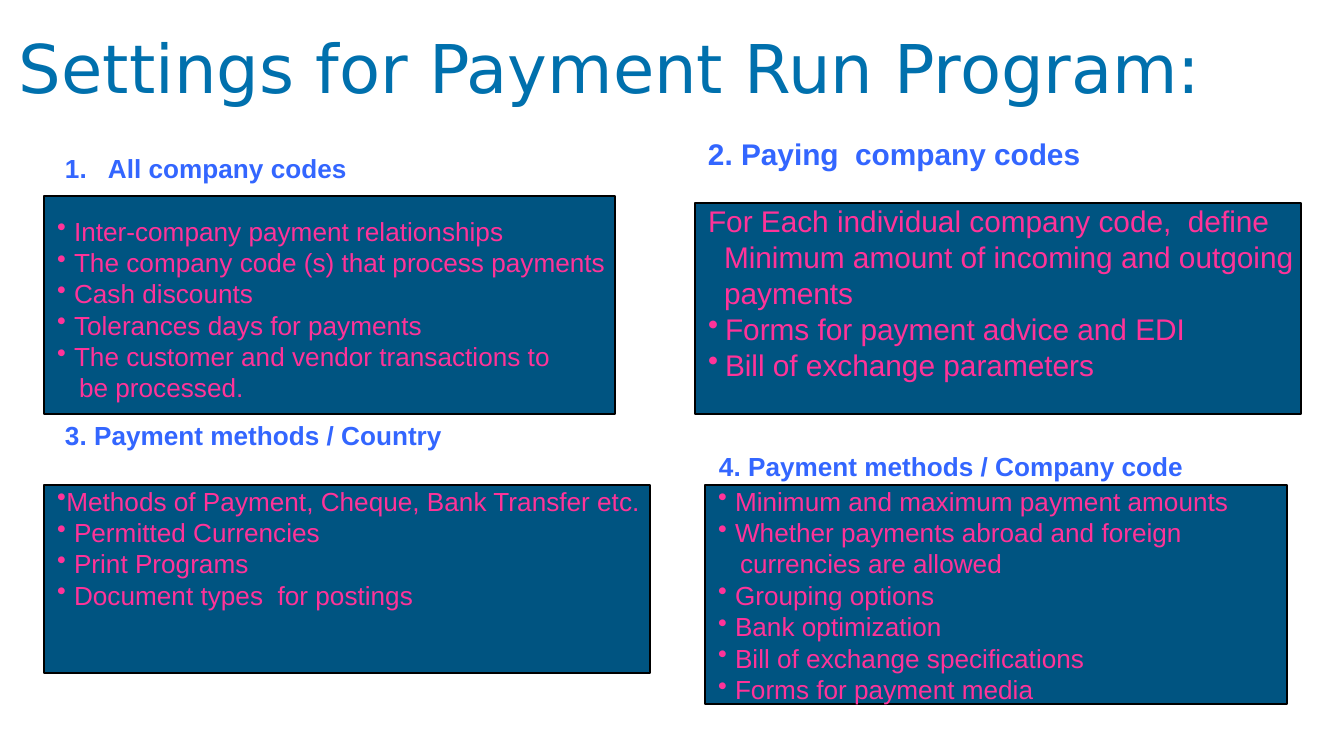
from lxml import etree
from pptx import Presentation
from pptx import util as u
from pptx.dml.color import RGBColor
from pptx.enum import shapes, text

SCALE = 914400 / 134.4
NS = "http://schemas.openxmlformats.org/drawingml/2006/main"
COLOR = {"title": "0070AD", "head": "3366FF", "list": "FF3399",
         "panel": "005481", "edge": "000000"}
# Kind of line: left indent in px, and whether it has a bullet
KIND = {"dot": (17, True), "tight": (9, True), "plain": (0, False),
        "inner": (16, False), "cont": (22, False)}
PANELS = [
    {"head": "1.\tAll company codes", "spot": (65, 152), "size": 14,
     "box": (44, 196, 571, 218), "top": 19, "rows": [
         ("dot", "Inter-company payment relationships"),
         ("dot", "The company code (s) that process payments"),
         ("dot", "Cash discounts"),
         ("dot", "Tolerances days for payments"),
         ("dot", "The customer and vendor transactions to"),
         ("cont", "be processed.")]},
    {"head": "2. Paying  company codes", "spot": (708, 136), "size": 16,
     "box": (695, 203, 606, 211), "top": 0, "rows": [
         ("plain", "For Each individual company code,  define"),
         ("inner", "Minimum amount of incoming and outgoing"),
         ("inner", "payments"),
         ("dot", "Forms for payment advice and EDI"),
         ("dot", "Bill of exchange parameters")]},
    {"head": "3. Payment methods / Country", "spot": (65, 419), "size": 14,
     "box": (44, 485, 606, 188), "top": 0, "rows": [
         ("tight", "Methods of Payment, Cheque, Bank Transfer etc."),
         ("dot", "Permitted Currencies"),
         ("dot", "Print Programs"),
         ("dot", "Document types  for postings")]},
    {"head": "4. Payment methods / Company code", "spot": (719, 450), "size": 14,
     "box": (705, 485, 582, 219), "top": 0, "rows": [
         ("dot", "Minimum and maximum payment amounts"),
         ("dot", "Whether payments abroad and foreign"),
         ("cont", "currencies are allowed"),
         ("dot", "Grouping options"),
         ("dot", "Bank optimization"),
         ("dot", "Bill of exchange specifications"),
         ("dot", "Forms for payment media")]},
]


def px(n):
    return u.Emu(round(n * SCALE))


def rgb(name):
    return RGBColor.from_string(COLOR[name])


def apply(item, values):
    for name, value in values.items():
        setattr(item, name, value)


def frame(shape, left=0, top=0, wrap=False, anchor=text.MSO_ANCHOR.TOP):
    """Set up the text frame of a shape and return it."""
    area = shape.text_frame
    apply(area, {"margin_left": px(left), "margin_top": px(top),
                 "margin_right": 0, "margin_bottom": 0, "word_wrap": wrap,
                 "auto_size": text.MSO_AUTO_SIZE.NONE,
                 "vertical_anchor": anchor})
    return area


def style(para, words, size, color, face="Arial", bold=False, space=None):
    """Fill a paragraph; space defaults to a fixed 1.2 of the size."""
    para.text = words
    apply(para, {"alignment": text.PP_ALIGN.LEFT,
                 "line_spacing": space or u.Pt(size * 1.2)})
    apply(para.font, {"size": u.Pt(size), "name": face, "bold": bold})
    para.font.color.rgb = rgb(color)


def indent(para, left, dot):
    props = para._p.get_or_add_pPr()
    props.set("marL", str(px(left)))
    props.set("indent", str(-px(left) if dot else 0))
    if dot:
        etree.SubElement(props, f"{{{NS}}}buChar", char="•")
    else:
        etree.SubElement(props, f"{{{NS}}}buNone")


def tab(para, at):
    tabs = etree.SubElement(para._p.get_or_add_pPr(), f"{{{NS}}}tabLst")
    etree.SubElement(tabs, f"{{{NS}}}tab", pos=str(px(at)), algn="l")


def title(slide, words):
    shape = slide.shapes.title
    apply(shape, {"left": 0, "top": px(34), "width": px(1284), "height": px(74)})
    area = frame(shape, left=19, anchor=text.MSO_ANCHOR.BOTTOM)
    style(area.paragraphs[0], words, 36, "title", "DejaVu Sans", space=0.9)


def heading(slide, panel):
    size = panel["size"]
    box = slide.shapes.add_textbox(*map(px, (*panel["spot"], 520, size * 2 + 4)))
    para = frame(box).paragraphs[0]
    if "\t" in panel["head"]:
        tab(para, 43)
    style(para, panel["head"], size, "head", bold=True)


def card(slide, panel):
    """Draw the filled box with its list."""
    box = slide.shapes.add_shape(shapes.MSO_SHAPE.RECTANGLE, *map(px, panel["box"]))
    box.shadow.inherit = False
    box.fill.solid()
    box.fill.fore_color.rgb = rgb("panel")
    box.line.color.rgb = rgb("edge")
    box.line.width = u.Pt(0.75)
    area = frame(box, left=13, top=panel["top"])
    for i, (kind, words) in enumerate(panel["rows"]):
        para = area.add_paragraph() if i else area.paragraphs[0]
        indent(para, *KIND[kind])
        style(para, words, panel["size"], "list")


def main():
    deck = Presentation()
    apply(deck, {"slide_width": px(1344), "slide_height": px(756)})
    slide = deck.slides.add_slide(deck.slide_layouts[5])
    title(slide, "Settings for Payment Run Program:")
    for panel in PANELS:
        card(slide, panel)
        heading(slide, panel)
    deck.save("out.pptx")


if __name__ == "__main__":
    main()
